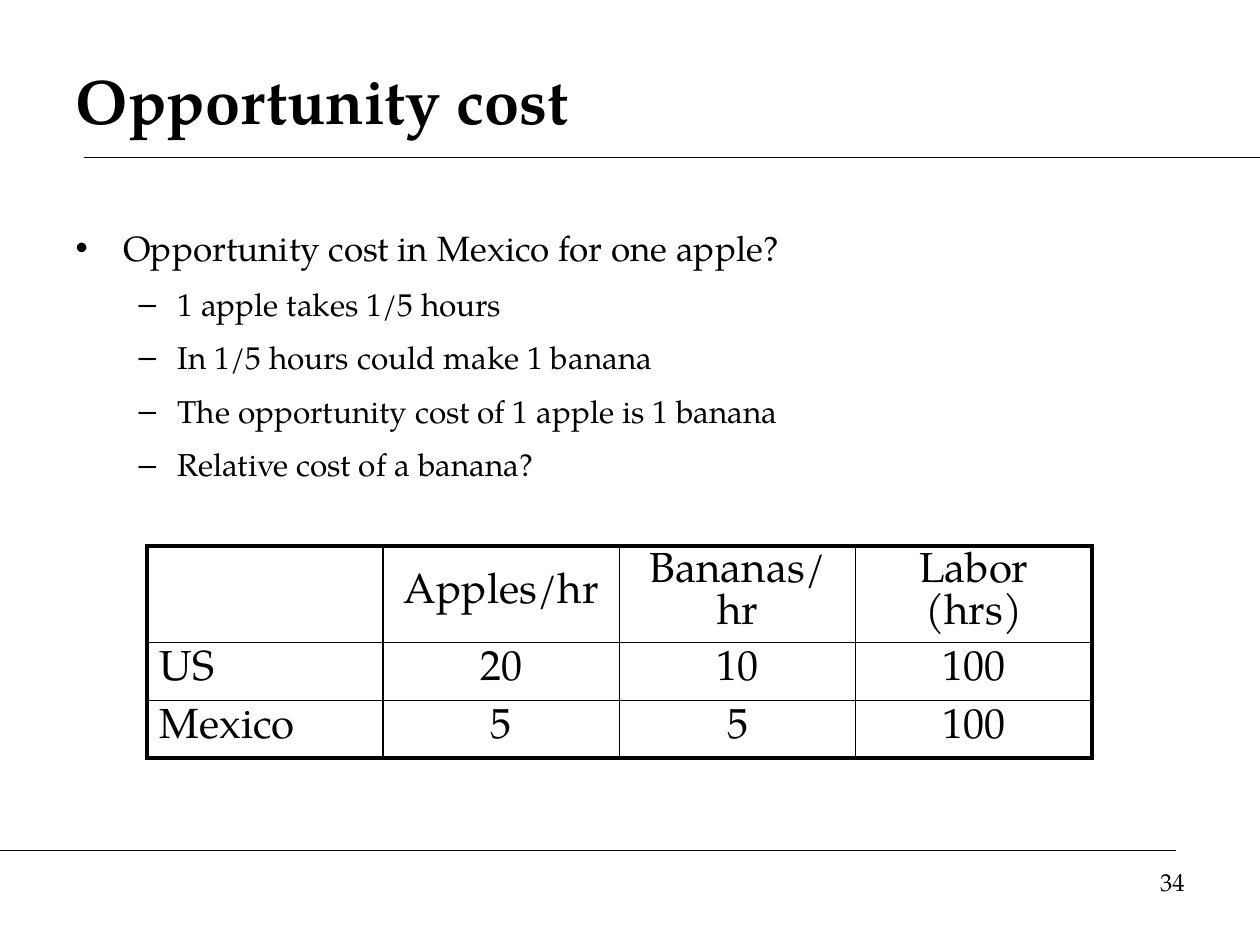
"""Build a slide on opportunity cost with a list and a table."""
import pptx
import pptx.dml.color
import pptx.enum.shapes
import pptx.enum.text
import pptx.oxml
import pptx.oxml.ns
import pptx.util

Pt = pptx.util.Pt
ALIGN = pptx.enum.text.PP_ALIGN
ANCHOR = pptx.enum.text.MSO_ANCHOR

TITLE = "Opportunity cost"
POINTS = [
    (0, "Opportunity cost in Mexico for one apple?"),
    (1, "1 apple takes 1/5 hours"),
    (1, "In 1/5 hours could make 1 banana"),
    (1, "The opportunity cost of 1 apple is 1 banana"),
    (1, "Relative cost of a banana?"),
]
ROWS = [
    ["", "Apples/hr", "Bananas/hr", "Labor (hrs)"],
    ["US", "20", "10", "100"],
    ["Mexico", "5", "5", "100"],
]
NUMBER = "34"

THEME = {
    "face": "TeX Gyre Pagella", "ink": "000000",
    "title": 36, "list": [20, 18], "table": 24, "number": 14,
    "rule": 0.75, "thin": 1, "thick": 2.25,
}
INDENTS = [(0.38, -0.38), (0.81, -0.31)]
WIDE, HIGH = 10, 7.5
COLS = 120
UNIT = WIDE / COLS
PLACES = {
    "title": (6, 4, 108, 11),
    "list": (6, 21, 108, 28),
    "table": (14, 52, 90, 16.5),
    "number": (86, 82, 28, 6.25),
}
RULES = [(8, 15, COLS, 15), (0, 81, 112, 81)]
INK = pptx.dml.color.RGBColor.from_string(THEME["ink"])


def span(*units):
    return [pptx.util.Inches(unit * UNIT) for unit in units]


def style(item, values):
    for name, value in values.items():
        setattr(item, name, value)


def place(shape, key):
    style(shape, dict(zip(("left", "top", "width", "height"), span(*PLACES[key]))))


def write(para, text, size, bold=False, **form):
    run = para.add_run()
    run.text = text
    style(run.font, {"name": THEME["face"], "size": Pt(size), "bold": bold})
    run.font.color.rgb = INK
    style(para, form)


def add_rule(slide, ends):
    line = slide.shapes.add_connector(
        pptx.enum.shapes.MSO_CONNECTOR.STRAIGHT, *span(*ends))
    line.line.color.rgb = INK
    line.line.width = Pt(THEME["rule"])
    line._element.spPr.append(pptx.oxml.parse_xml(
        f'<a:effectLst {pptx.oxml.ns.nsdecls("a")}/>'))


def add_title(slide):
    shape = slide.shapes.title
    place(shape, "title")
    style(shape.text_frame, {"vertical_anchor": ANCHOR.MIDDLE,
                             "auto_size": pptx.enum.text.MSO_AUTO_SIZE.NONE})
    write(shape.text_frame.paragraphs[0], TITLE, THEME["title"], True,
          alignment=ALIGN.LEFT)


def add_list(slide):
    shape = slide.placeholders[1]
    place(shape, "list")
    frame = shape.text_frame
    frame.auto_size = pptx.enum.text.MSO_AUTO_SIZE.NONE
    for row, (level, text) in enumerate(POINTS):
        para = frame.add_paragraph() if row else frame.paragraphs[0]
        size = THEME["list"][level]
        write(para, text, size, level=level, space_before=Pt(size / 2))
        for name, value in zip(("marL", "indent"), INDENTS[level]):
            para._p.get_or_add_pPr().set(name, str(pptx.util.Inches(value)))


def add_edges(cell, edges):
    props = cell._tc.get_or_add_tcPr()
    for spot, (side, outer) in enumerate(edges.items()):
        width = Pt(THEME["thick" if outer else "thin"])
        props.insert(spot, pptx.oxml.parse_xml(
            f'<a:ln{side} {pptx.oxml.ns.nsdecls("a")} w="{width}"><a:solidFill>'
            f'<a:srgbClr val="{THEME["ink"]}"/></a:solidFill></a:ln{side}>'))


def add_table(slide):
    deep, across = len(ROWS), len(ROWS[0])
    table = slide.shapes.add_table(deep, across, *span(*PLACES["table"])).table
    style(table, {"first_row": False, "horz_banding": False})
    size = THEME["table"]
    for row, texts in enumerate(ROWS):
        for col, text in enumerate(texts):
            cell = table.cell(row, col)
            cell.fill.background()
            cell.vertical_anchor = ANCHOR.MIDDLE
            write(cell.text_frame.paragraphs[0], text, size,
                  alignment=ALIGN.CENTER if col else ALIGN.LEFT,
                  line_spacing=Pt(size))
            add_edges(cell, {"L": col == 0, "R": col == across - 1,
                             "T": row == 0, "B": row == deep - 1})


def add_number(slide):
    box = slide.shapes.add_textbox(*span(*PLACES["number"]))
    box.text_frame.word_wrap = True
    write(box.text_frame.paragraphs[0], NUMBER, THEME["number"],
          alignment=ALIGN.RIGHT)


def main():
    deck = pptx.Presentation()
    style(deck, {"slide_width": pptx.util.Inches(WIDE),
                 "slide_height": pptx.util.Inches(HIGH)})
    slide = deck.slides.add_slide(deck.slide_layouts[1])
    for ends in RULES:
        add_rule(slide, ends)
    for build in (add_title, add_list, add_table, add_number):
        build(slide)
    deck.save("out.pptx")


if __name__ == "__main__":
    main()
